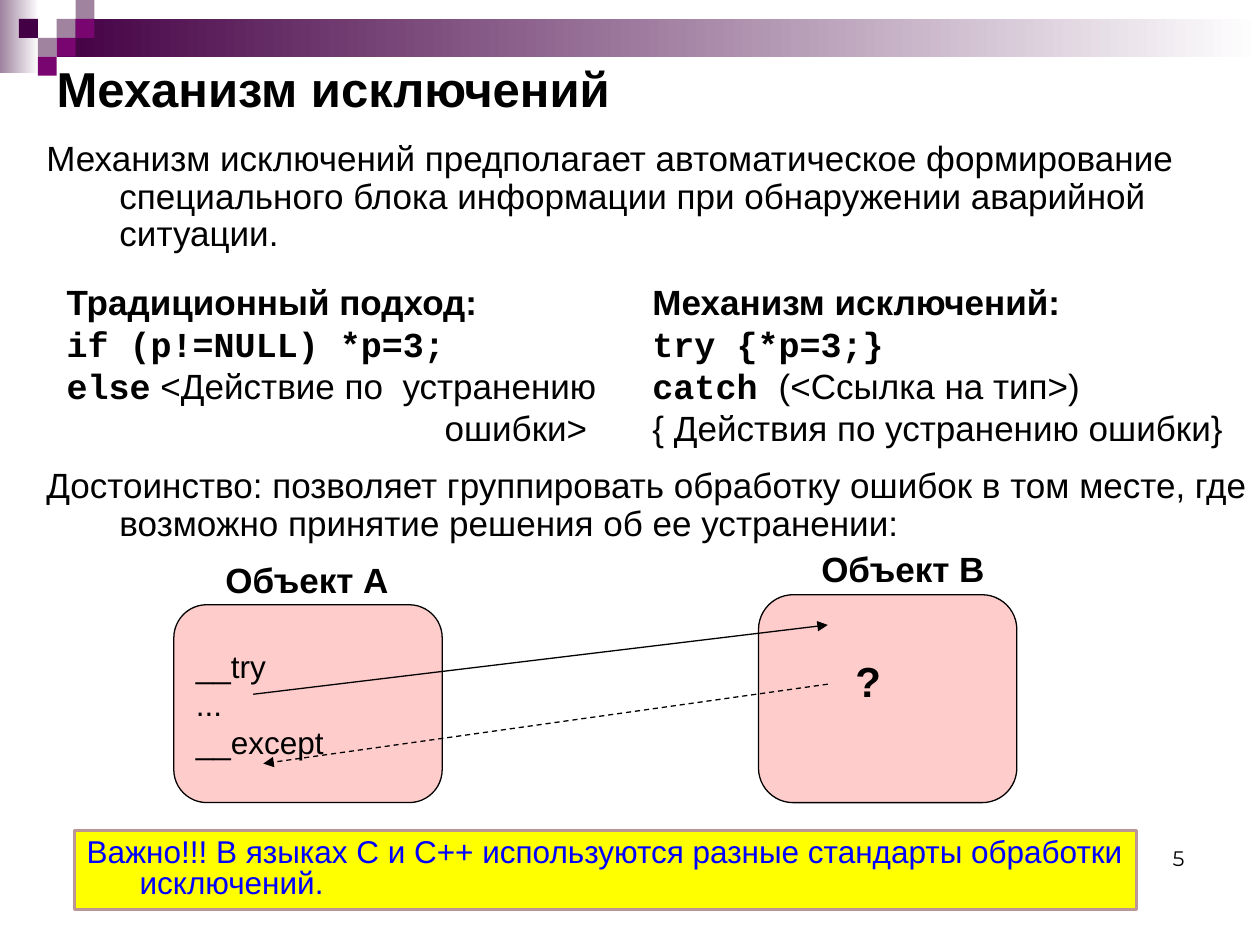
from dataclasses import dataclass
from typing import Optional

import pptx
import pptx.dml.color
import pptx.enum.dml
import pptx.enum.shapes
import pptx.enum.text
import pptx.oxml
import pptx.oxml.ns
import pptx.util

Inches = pptx.util.Inches
Pt = pptx.util.Pt
RGBColor = pptx.dml.color.RGBColor
Anchor = pptx.enum.text.MSO_ANCHOR
Align = pptx.enum.text.PP_ALIGN
Preset = pptx.enum.shapes.MSO_SHAPE

BLACK = RGBColor(0x00, 0x00, 0x00)
WHITE = RGBColor(0xFF, 0xFF, 0xFF)
DARK_PLUM = RGBColor(0x44, 0x00, 0x44)
MAGENTA = RGBColor(0x79, 0x05, 0x71)
MAUVE = RGBColor(0x9F, 0x83, 0x9F)
PINK = RGBColor(0xFF, 0xCC, 0xCC)
YELLOW = RGBColor(0xFF, 0xFF, 0x00)
ROSE = RGBColor(0xBC, 0x95, 0x95)
BLUE = RGBColor(0x00, 0x00, 0xFF)

TILE = 0.15


@dataclass
class Box:
    left: float
    top: float
    width: float
    height: float

    def lengths(self) -> list:
        return [Inches(v) for v in (self.left, self.top, self.width, self.height)]


@dataclass
class Run:
    text: str
    bold: bool = False
    font: str = "Arial"


@dataclass
class Line:
    runs: list[Run]
    indent: float = 0
    hanging: float = 0
    spacing: Optional[float] = None
    align: Align = Align.LEFT


@dataclass
class Arrow:
    start: tuple[float, float]
    end: tuple[float, float]
    dashed: bool = False


def code(text: str) -> Run:
    return Run(text, bold=True, font="Courier New")


def write(shape, lines: list[Line], size: float, color: RGBColor = BLACK,
          anchor: Anchor = Anchor.TOP, wrap: bool = True) -> None:
    frame = shape.text_frame
    frame.word_wrap = wrap
    frame.auto_size = pptx.enum.text.MSO_AUTO_SIZE.NONE
    frame.vertical_anchor = anchor
    for index, line in enumerate(lines):
        paragraph = frame.paragraphs[0] if index == 0 else frame.add_paragraph()
        paragraph.alignment = line.align
        if line.spacing:
            paragraph.line_spacing = line.spacing
        if line.indent:
            properties = paragraph._p.get_or_add_pPr()
            properties.set("marL", str(Inches(line.indent)))
            properties.set("indent", str(-Inches(line.hanging)))
        for part in line.runs:
            run = paragraph.add_run()
            run.text = part.text
            run.font.size = Pt(size)
            run.font.name = part.font
            run.font.bold = part.bold
            run.font.color.rgb = color


def add_text(slide, box: Box, lines: list[Line], size: float, **options) -> None:
    write(slide.shapes.add_textbox(*box.lengths()), lines, size, **options)


def add_panel(slide, box: Box, fill: RGBColor, outline: Optional[RGBColor] = None,
              width: float = 0.75, preset: Preset = Preset.RECTANGLE):
    shape = slide.shapes.add_shape(preset, *box.lengths())
    shape.shadow.inherit = False
    shape.fill.solid()
    shape.fill.fore_color.rgb = fill
    if outline is None:
        shape.line.fill.background()
    else:
        shape.line.color.rgb = outline
        shape.line.width = Pt(width)
    return shape


def add_fading_band(slide, box: Box, color: RGBColor) -> None:
    fill = add_panel(slide, box, color).fill
    fill.gradient()
    fill.gradient_angle = 0
    for stop, stop_color, position in zip(fill.gradient_stops, (color, WHITE), (0, 1)):
        stop.color.rgb = stop_color
        stop.position = position


def add_arrow(slide, arrow: Arrow) -> None:
    points = [Inches(v) for v in arrow.start + arrow.end]
    connector = slide.shapes.add_connector(pptx.enum.shapes.MSO_CONNECTOR.STRAIGHT, *points)
    connector.line.color.rgb = BLACK
    connector.line.width = Pt(0.75)
    if arrow.dashed:
        connector.line.dash_style = pptx.enum.dml.MSO_LINE.DASH
    namespace = pptx.oxml.ns.nsdecls("a")
    head = pptx.oxml.parse_xml(f'<a:tailEnd {namespace} type="triangle"/>')
    connector.line._get_or_add_ln().append(head)
    connector._element.spPr.append(pptx.oxml.parse_xml(f"<a:effectLst {namespace}/>"))


def add_header(slide) -> None:
    add_fading_band(slide, Box(0, 0, 0.31, 0.58), MAUVE)
    add_fading_band(slide, Box(0.45, 0.15, 9.55, 0.3), DARK_PLUM)
    tiles = [(3, 1, MAUVE), (4, 0, MAUVE), (4, 1, MAGENTA), (2, 2, MAUVE),
             (1, 1, DARK_PLUM), (3, 2, MAGENTA), (2, 3, MAGENTA)]
    for column, row, color in tiles:
        add_panel(slide, Box(column * TILE, row * TILE, TILE, TILE), color)


def add_statements(slide) -> None:
    statements = [
        (1.07, 1.0, "Механизм исключений предполагает автоматическое формирование "
                    "специального блока информации при обнаружении аварийной ситуации."),
        (3.67, 0.7, "Достоинство: позволяет группировать обработку ошибок в том месте, "
                    "где возможно принятие решения об ее устранении:"),
    ]
    for top, height, text in statements:
        line = Line([Run(text)], indent=0.58, hanging=0.58, spacing=0.9)
        add_text(slide, Box(0.27, top, 9.73, height), [line], 20)


def add_comparison(slide) -> None:
    traditional = [
        Line([Run("Традиционный подход:", bold=True)]),
        Line([code("if (p!=NULL) *p=3;")]),
        Line([code("else"), Run(" <Действие по  устранению")]),
        Line([Run("ошибки>")], indent=3),
    ]
    exceptions = [
        Line([Run("Механизм исключений:", bold=True)]),
        Line([code("try {*p=3;}")]),
        Line([code("catch "), Run("(<Ссылка на тип>)")]),
        Line([Run("{ Действия по устранению ошибки}")]),
    ]
    add_text(slide, Box(0.43, 2.18, 4.49, 1.44), traditional, 20)
    add_text(slide, Box(5.08, 2.18, 4.92, 1.44), exceptions, 20)


def add_object_diagram(slide) -> None:
    rounded = Preset.ROUNDED_RECTANGLE
    object_a = add_panel(slide, Box(1.38, 4.8, 2.13, 1.57), PINK, BLACK, preset=rounded)
    add_panel(slide, Box(6.02, 4.72, 2.05, 1.65), PINK, BLACK, preset=rounded)
    handler = [Line([Run(text)]) for text in ("__try", "...", "__except")]
    write(object_a, handler, 18, anchor=Anchor.MIDDLE)
    labels = [(Box(1.69, 4.38, 1.5, 0.44), "Объект A", 20),
              (Box(6.42, 4.3, 1.5, 0.44), "Объект B", 20),
              (Box(6.69, 5.15, 0.4, 0.5), "?", 24)]
    for box, text, size in labels:
        add_text(slide, box, [Line([Run(text, bold=True)])], size, wrap=False)
    add_arrow(slide, Arrow((2.01, 5.51), (6.57, 4.96)))
    add_arrow(slide, Arrow((6.57, 5.43), (2.09, 6.06), dashed=True))


def main() -> None:
    presentation = pptx.Presentation()
    presentation.slide_width, presentation.slide_height = Inches(10), Inches(7.5)
    slide = presentation.slides.add_slide(presentation.slide_layouts[5])
    add_header(slide)

    title = slide.shapes.title
    title.left, title.top, title.width, title.height = Box(0.35, 0.44, 9.47, 0.52).lengths()
    write(title, [Line([Run("Механизм исключений", bold=True)])], 28, anchor=Anchor.MIDDLE)

    add_statements(slide)
    add_comparison(slide)
    add_object_diagram(slide)

    warning = add_panel(slide, Box(0.59, 6.59, 8.43, 0.63), YELLOW, ROSE, width=2)
    warning_text = ("Важно!!! В языках С и С++ используются разные стандарты "
                    "обработки исключений.")
    write(warning, [Line([Run(warning_text)], indent=0.42, hanging=0.42, spacing=0.8)],
          18, color=BLUE, anchor=Anchor.MIDDLE)
    add_text(slide, Box(7.17, 6.44, 2.33, 0.52),
             [Line([Run("5", font="Montserrat")], align=Align.RIGHT)], 12, anchor=Anchor.BOTTOM)
    presentation.save("out.pptx")


if __name__ == "__main__":
    main()
